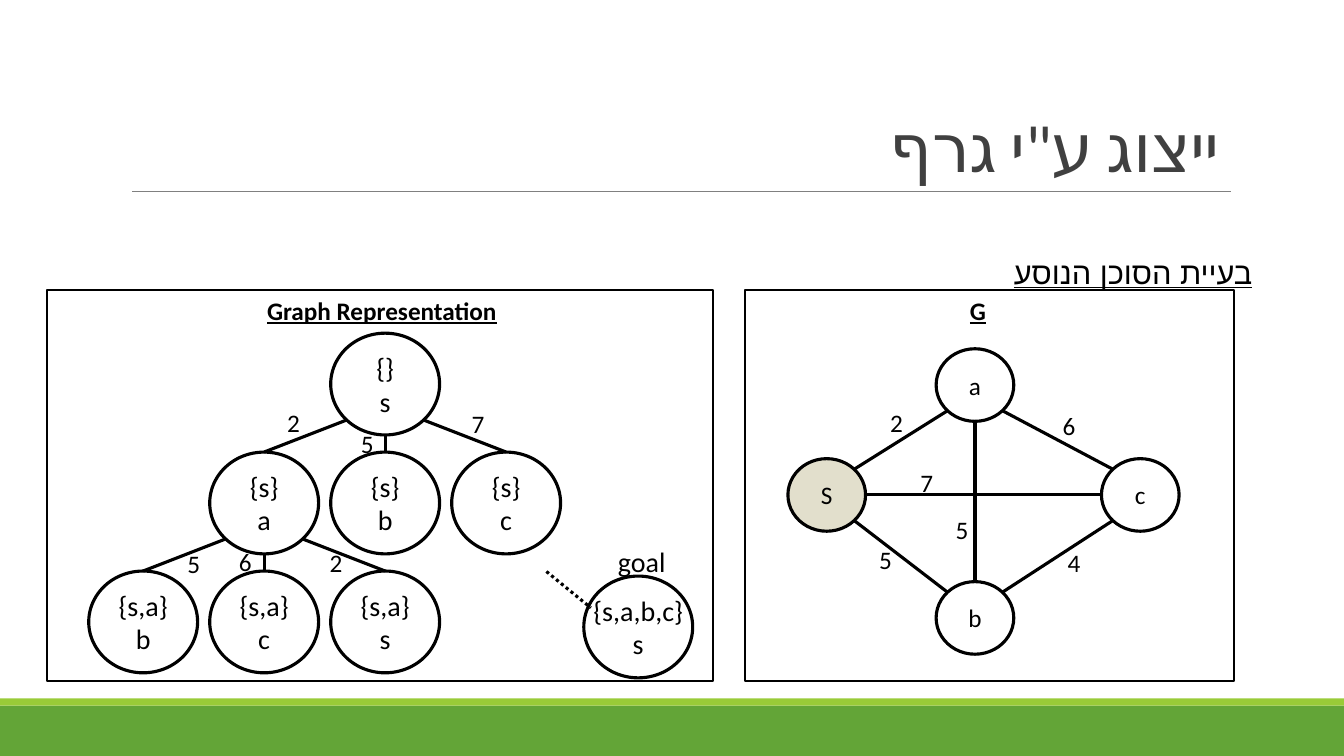
from math import sqrt

from lxml.etree import SubElement
from pptx import Presentation
from pptx.dml.color import RGBColor
from pptx.enum.dml import MSO_LINE
from pptx.enum.shapes import MSO_CONNECTOR, MSO_SHAPE
from pptx.enum.text import MSO_ANCHOR, MSO_AUTO_SIZE, PP_ALIGN
from pptx.oxml.ns import qn
from pptx.util import Inches, Pt

BLACK = RGBColor(0x00, 0x00, 0x00)
WHITE = RGBColor(0xFF, 0xFF, 0xFF)
START = RGBColor(0xE2, 0xDF, 0xCC)
TITLE_GREY = RGBColor(0x40, 0x40, 0x40)
RULE_GREY = RGBColor(0x80, 0x80, 0x80)
GREEN = RGBColor(0x63, 0xA5, 0x37)
LIME = RGBColor(0x99, 0xCB, 0x38)

TREE_NODE = (1.08, 1.01)
GRAPH_NODE = (0.77, 0.72)


def style_text(frame, size, color=BLACK, font="Calibri", bold=None, underline=None):
    """Format every run of a text frame."""
    for paragraph in frame.paragraphs:
        for run in paragraph.runs:
            run.font.size = Pt(size)
            run.font.name = font
            run.font.color.rgb = color
            run.font.bold = bold
            run.font.underline = underline


def set_hebrew(frame, font):
    """Right-align a frame's first paragraph as right-to-left text."""
    paragraph = frame.paragraphs[0]
    paragraph.alignment = PP_ALIGN.RIGHT
    paragraph._p.get_or_add_pPr().set("rtl", "1")
    properties = paragraph.runs[0]._r.get_or_add_rPr()
    properties.set("lang", "he-IL")
    SubElement(properties, qn("a:cs")).set("typeface", font)


def add_label(slide, text, left, top, width=0.33, height=0.4, size=18, **style):
    """Add an unwrapped one-line label."""
    label = slide.shapes.add_textbox(Inches(left), Inches(top), Inches(width), Inches(height))
    label.text_frame.word_wrap = False
    label.text_frame.text = text
    style_text(label.text_frame, size, **style)


def add_box(slide, left, top, width, height, fill=None, line=None):
    """Add a plain rectangle with an optional fill and outline."""
    box = slide.shapes.add_shape(
        MSO_SHAPE.RECTANGLE, Inches(left), Inches(top), Inches(width), Inches(height))
    box.shadow.inherit = False
    if fill is None:
        box.fill.background()
    else:
        box.fill.solid()
        box.fill.fore_color.rgb = fill
    if line is None:
        box.line.fill.background()
    else:
        box.line.color.rgb = line
        box.line.width = Pt(1.25)


def add_line(slide, start, end, color=BLACK, width=2.25):
    """Add a straight line between two points."""
    line = slide.shapes.add_connector(
        MSO_CONNECTOR.STRAIGHT, *(Inches(value) for value in (*start, *end)))
    line.line.color.rgb = color
    line.line.width = Pt(width)
    SubElement(line._element.spPr, qn("a:effectLst"))
    return line


def add_node(slide, text, center, node_size, text_size, fill=WHITE, wrap=True):
    """Add an elliptical node around its centre."""
    (x, y), (width, height) = center, node_size
    node = slide.shapes.add_shape(
        MSO_SHAPE.OVAL, Inches(x - width / 2), Inches(y - height / 2),
        Inches(width), Inches(height))
    node.shadow.inherit = False
    node.fill.solid()
    node.fill.fore_color.rgb = fill
    node.line.color.rgb = BLACK
    node.line.width = Pt(2.25)
    frame = node.text_frame
    frame.word_wrap = wrap
    frame.vertical_anchor = MSO_ANCHOR.MIDDLE
    frame.text = text
    for paragraph in frame.paragraphs:
        paragraph.alignment = PP_ALIGN.CENTER
    style_text(frame, text_size)
    return node


def sign(value):
    """Return -1, 0 or 1 for the sign of a value."""
    return (value > 0) - (value < 0)


def rim_point(center, node_size, across, down):
    """Return the point on a node's rim in one of eight directions."""
    reach = 0.5 / sqrt(across ** 2 + down ** 2)
    return (center[0] + across * reach * node_size[0],
            center[1] + down * reach * node_size[1])


def add_frame(slide):
    """Add the rule under the title and the bars at the foot."""
    add_box(slide, 0, 7, 13.33, 0.5, GREEN)
    add_box(slide, 0, 6.93, 13.33, 0.07, LIME)
    add_line(slide, (1.31, 1.9), (12.21, 1.9), RULE_GREY, 0.5)


def add_headings(slide, left, top, width):
    """Fill the title and add the underlined topic below it."""
    title = slide.shapes.title
    title.left, title.top = Inches(left + 0.93), Inches(top)
    title.width, title.height = Inches(11), Inches(1.59)
    frame = title.text_frame
    frame.text = 'ייצוג ע"י גרף'
    frame.auto_size = MSO_AUTO_SIZE.NONE
    frame.vertical_anchor = MSO_ANCHOR.BOTTOM
    frame.paragraphs[0].line_spacing = 0.85
    style_text(frame, 48, TITLE_GREY)
    set_hebrew(frame, "Calibri")
    frame.paragraphs[0].runs[0]._r.get_or_add_rPr().set("spc", "-50")

    topic = slide.shapes.add_textbox(
        Inches(left), Inches(top + 2.1), Inches(width), Inches(0.6))
    frame = topic.text_frame
    frame.word_wrap = True
    frame.text = "בעיית הסוכן הנוסע"
    frame.paragraphs[0].line_spacing = 1.15
    style_text(frame, 22, font="Arial", underline=True)
    set_hebrew(frame, "Arial")


def add_search_tree(slide, left, top, width, height):
    """Draw the search tree panel."""
    add_box(slide, left, top, width, height, line=BLACK)
    add_label(slide, "Graph Representation", left + 2.08, top, 2.55, bold=True, underline=True)
    column, level = 1.2, 1.18
    root = (left + 3.35, top + 0.93)
    first = (root[0] - column, root[1] + level)
    families = [
        (root, "{s}", [("a", "2", 2.28, 1.11), ("b", "5", 3.01, 1.32), ("c", "7", 4.11, 1.12)]),
        (first, "{s,a}", [("b", "5", 1.29, 2.51), ("c", "6", 1.8, 2.49), ("s", "2", 2.7, 2.5)]),
    ]
    add_node(slide, "{}\ns", root, TREE_NODE, 20)
    for parent, visited, children in families:
        for side, (city, weight, weight_x, weight_y) in zip((-1, 0, 1), children):
            center = (parent[0] + side * column, parent[1] + level)
            child = add_node(slide, f"{visited}\n{city}", center, TREE_NODE, 20)
            edge = add_line(slide, rim_point(center, TREE_NODE, 0, -1),
                            rim_point(parent, TREE_NODE, side, 1))
            edge.begin_connect(child, 0)
            add_label(slide, weight, left + weight_x, top + weight_y)
    add_node(slide, "{s,a,b,c}\ns", (left + 5.86, top + 3.34), TREE_NODE, 20, wrap=False)
    path_to_goal = add_line(slide, (left + 4.95, top + 2.79), (left + 5.39, top + 3.15))
    path_to_goal.line.dash_style = MSO_LINE.ROUND_DOT
    add_label(slide, "goal", left + 5.56, top + 2.47, 0.68, 0.44, 20)


def add_city_graph(slide, left, top, width, height):
    """Draw the weighted city graph panel."""
    add_box(slide, left, top, width, height, line=BLACK)
    add_label(slide, "G", left + 2.13, top, 0.36, bold=True, underline=True)
    cities = {"S": (0.81, 2.03), "a": (2.28, 0.94), "b": (2.28, 3.25), "c": (3.92, 2.03)}
    roads = [("S", "a", "2", 1.34, 1.11), ("S", "c", "7", 1.64, 1.71),
             ("a", "c", "6", 3.05, 1.14), ("a", "b", "5", 1.99, 2.17),
             ("c", "b", "4", 3.1, 2.5), ("b", "S", "5", 1.23, 2.47)]
    centers = {city: (left + x, top + y) for city, (x, y) in cities.items()}
    for city, center in centers.items():
        add_node(slide, city, center, GRAPH_NODE, 18, START if city == "S" else WHITE)
    for origin, target, weight, weight_x, weight_y in roads:
        start, end = centers[origin], centers[target]
        across, down = sign(end[0] - start[0]), sign(end[1] - start[1])
        add_line(slide, rim_point(start, GRAPH_NODE, across, down),
                 rim_point(end, GRAPH_NODE, -across, -down))
        add_label(slide, weight, left + weight_x, top + weight_y)


def main():
    """Build and save the slide."""
    presentation = Presentation()
    presentation.slide_width, presentation.slide_height = Inches(13.33), Inches(7.5)
    slide = presentation.slides.add_slide(presentation.slide_layouts[5])
    add_frame(slide)
    add_headings(slide, 0.27, 0.31, 12.25)
    add_city_graph(slide, 7.39, 2.88, 4.85, 3.88)
    add_search_tree(slide, 0.47, 2.88, 6.6, 3.88)
    presentation.save("out.pptx")


if __name__ == "__main__":
    main()
